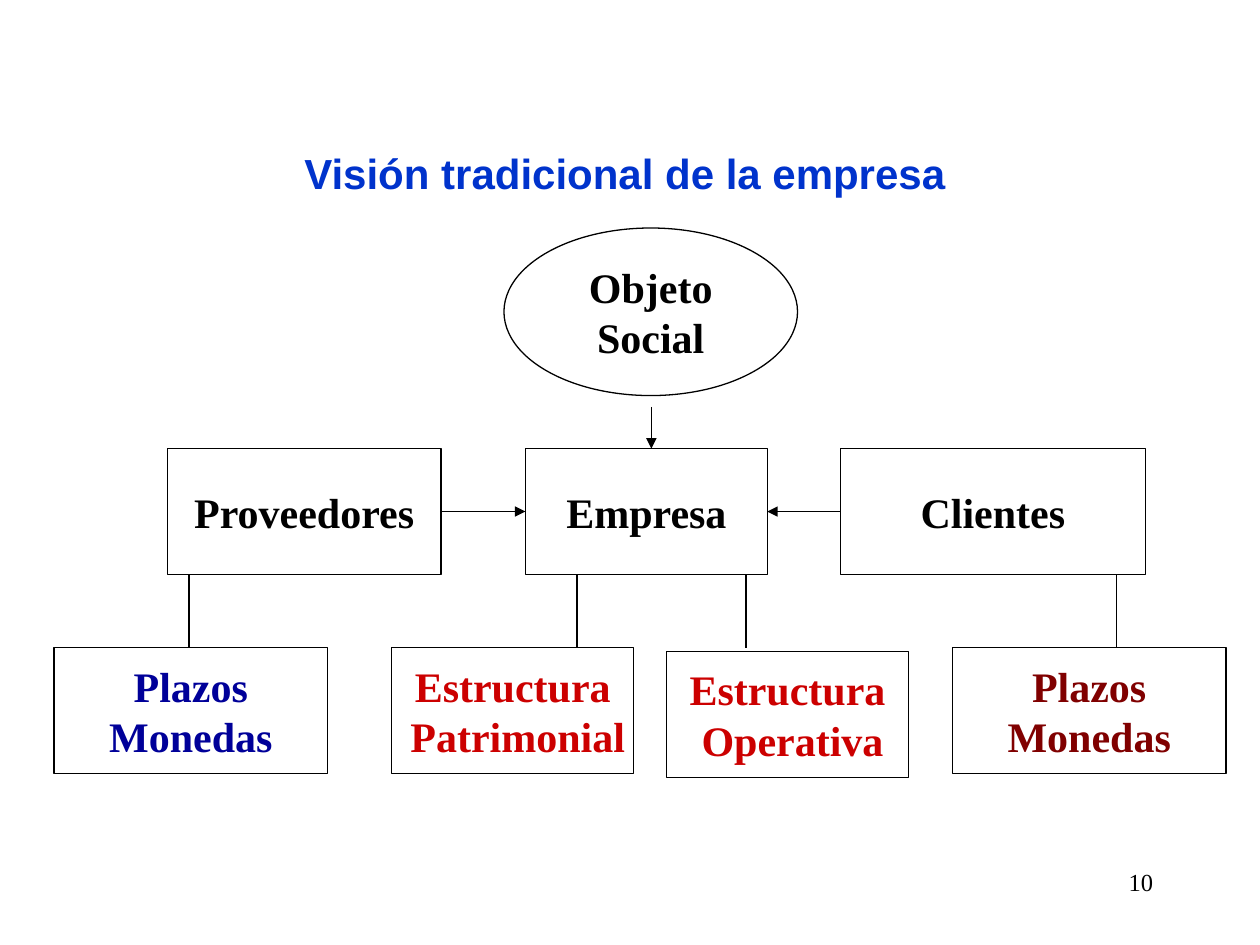
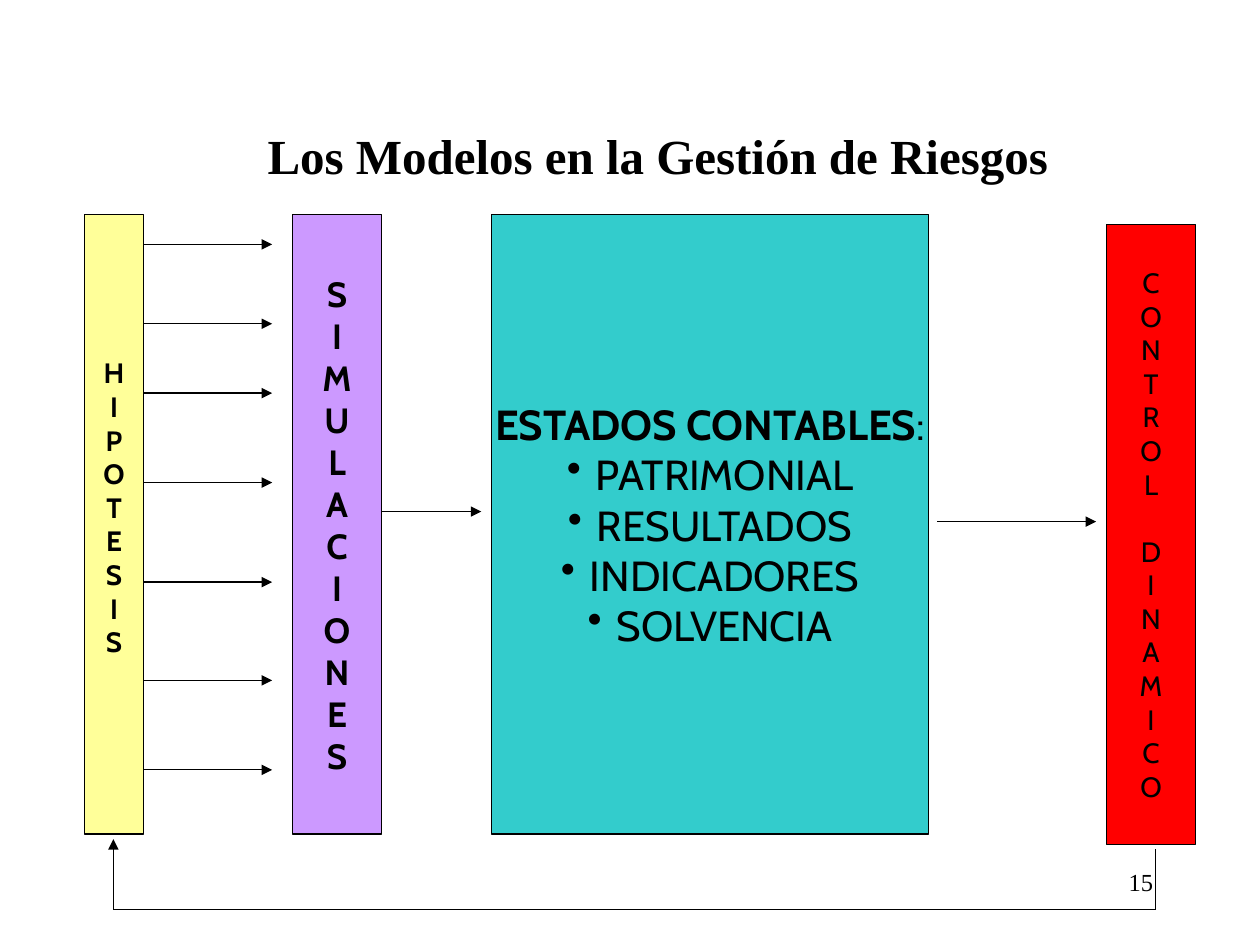
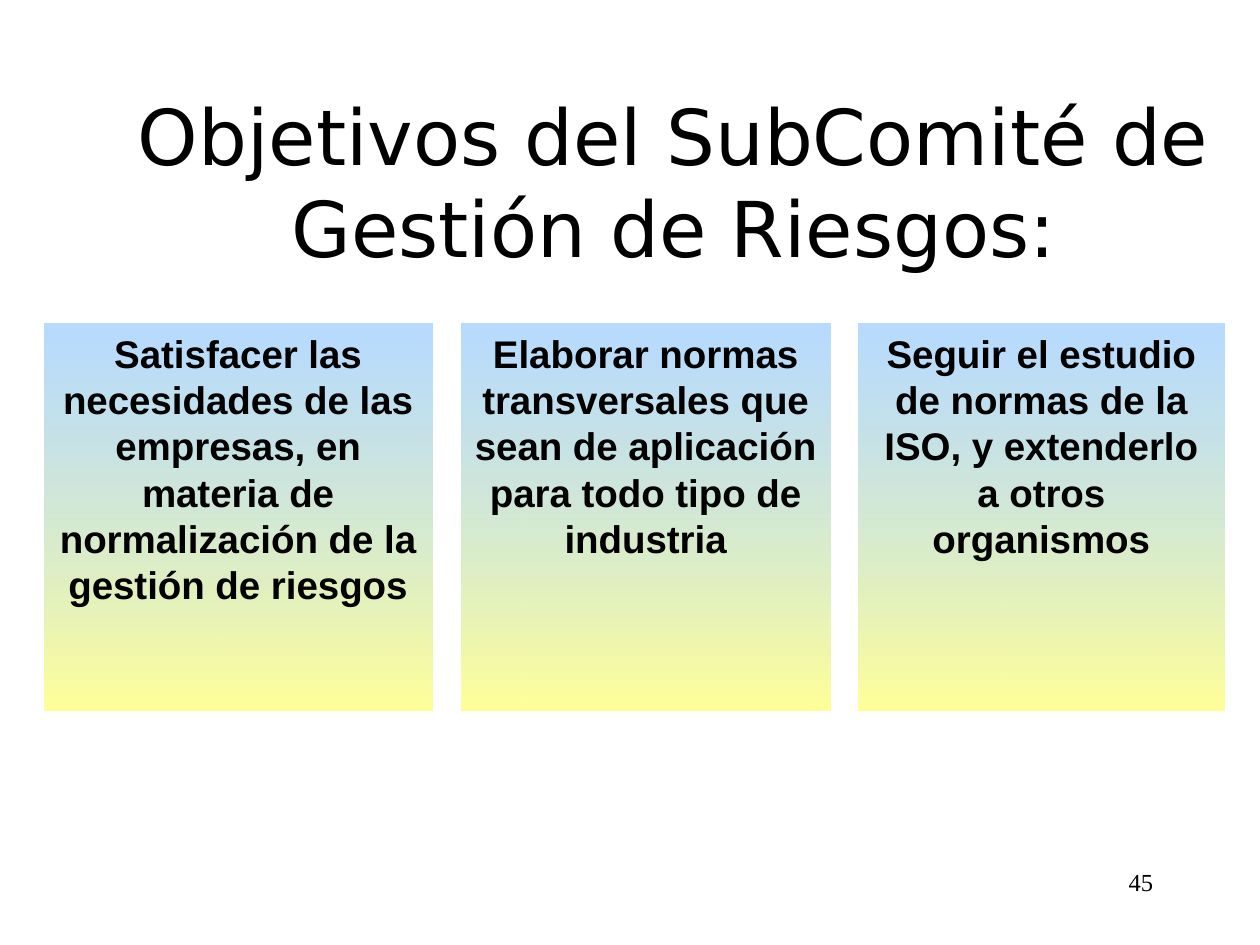
"""Build three slides on company structure, risk models and committee objectives."""
from dataclasses import dataclass
from itertools import pairwise
from typing import Optional, Sequence

from lxml.etree import SubElement
from pptx import Presentation
from pptx.dml.color import RGBColor
from pptx.enum.shapes import MSO_CONNECTOR, MSO_SHAPE
from pptx.enum.text import MSO_ANCHOR, MSO_AUTO_SIZE, PP_ALIGN
from pptx.oxml.ns import qn
from pptx.util import Inches, Pt

COLORS = {
    "black": "000000",
    "title_blue": "0033CC",
    "supplier_blue": "000099",
    "client_maroon": "800000",
    "structure_red": "CC0000",
    "lilac": "CC99FF",
    "pale_yellow": "FFFF99",
    "control_red": "FF0000",
    "teal": "33CCCC",
    "sky": "99CCFF",
}
SERIF, SANS, CABIN, DEJAVU = "Times New Roman", "Arial", "Cabin", "DejaVu Sans"
TOP, RIGHT, BOTTOM, LEFT = 0, 3, 2, 1
Point = tuple[float, float]


@dataclass(frozen=True)
class Box:
    """An outlined shape with centred lines of text."""

    left: float
    top: float
    width: float
    height: float
    lines: Sequence[str]
    size: float = 24
    font: str = SERIF
    color: str = "black"
    bold: bool = True
    fill: Optional[str] = None
    kind: MSO_SHAPE = MSO_SHAPE.RECTANGLE
    bold_lead: str = ""


@dataclass(frozen=True)
class Link:
    """A straight line between two points, with or without an arrowhead."""

    start: Point
    end: Point
    arrow: bool = True


def rgb(name: str) -> RGBColor:
    """Look up a named colour."""
    return RGBColor.from_string(COLORS[name])


def write_text(frame, lines: Sequence[str], *, size: float, font: str = SERIF,
               color: str = "black", bold: bool = False, align=PP_ALIGN.CENTER,
               anchor=MSO_ANCHOR.MIDDLE, wrap: bool = True, bold_lead: str = "") -> None:
    """Write one paragraph per line, with an optional bold start to the first."""
    frame.word_wrap = wrap
    frame.auto_size = MSO_AUTO_SIZE.NONE
    frame.vertical_anchor = anchor
    for index, line in enumerate(lines):
        paragraph = frame.paragraphs[0] if index == 0 else frame.add_paragraph()
        paragraph.alignment = align
        pieces = [(line, bold)]
        if index == 0 and bold_lead:
            pieces.insert(0, (bold_lead, True))
        for text, heavy in pieces:
            run = paragraph.add_run()
            run.text = text
            run.font.size = Pt(size)
            run.font.name = font
            run.font.bold = heavy
            run.font.color.rgb = rgb(color)


def indent_paragraph(paragraph, margin: float, bullet: str = "") -> None:
    """Indent a paragraph and hang a bullet in the margin if one is given."""
    properties = paragraph._p.get_or_add_pPr()
    properties.set("marL", str(Inches(margin)))
    if bullet:
        properties.set("indent", str(-Inches(margin)))
        SubElement(properties, qn("a:buChar")).set("char", bullet)


def add_box(slide, box: Box):
    """Draw a box and return its shape."""
    shape = slide.shapes.add_shape(box.kind, Inches(box.left), Inches(box.top),
                                   Inches(box.width), Inches(box.height))
    shape.shadow.inherit = False
    if box.fill:
        shape.fill.solid()
        shape.fill.fore_color.rgb = rgb(box.fill)
    else:
        shape.fill.background()
    shape.line.color.rgb = rgb("black")
    shape.line.width = Pt(0.75)
    write_text(shape.text_frame, box.lines, size=box.size, font=box.font, color=box.color,
               bold=box.bold, wrap=False, bold_lead=box.bold_lead)
    return shape


def add_link(slide, link: Link):
    """Draw a thin black line or arrow and return the connector."""
    points = [Inches(value) for value in (*link.start, *link.end)]
    connector = slide.shapes.add_connector(MSO_CONNECTOR.STRAIGHT, *points)
    connector.line.color.rgb = rgb("black")
    connector.line.width = Pt(0.75)
    properties = connector.element.spPr
    if link.arrow:
        SubElement(properties.find(qn("a:ln")), qn("a:tailEnd")).set("type", "triangle")
    SubElement(properties, qn("a:effectLst"))
    return connector


def add_titled_slide(presentation, title: str, number: int, *, left: float, top: float,
                     width: float, height: float, **text_format):
    """Add a slide with a placed title and its page number."""
    slide = presentation.slides.add_slide(presentation.slide_layouts[5])
    shape = slide.shapes.title
    shape.left, shape.top = Inches(left), Inches(top)
    shape.width, shape.height = Inches(width), Inches(height)
    write_text(shape.text_frame, [title], **text_format)
    number_box = slide.shapes.add_textbox(Inches(7.17), Inches(6.83), Inches(2.08), Inches(0.5))
    write_text(number_box.text_frame, [str(number)], size=14, align=PP_ALIGN.RIGHT,
               anchor=MSO_ANCHOR.TOP)
    return slide


def build_company_slide(presentation) -> None:
    """Draw the traditional view of the company."""
    slide = add_titled_slide(presentation, "Visión tradicional de la empresa", 10,
                             left=1.17, top=1.12, width=7.58, height=0.5,
                             size=24, font=SANS, color="title_blue", bold=True)
    row_top, detail_top = 3.56, 5.14
    company = add_box(slide, Box(4.17, row_top, 1.92, 1, ["Empresa"]))
    suppliers = add_box(slide, Box(1.33, row_top, 2.17, 1, ["Proveedores"]))
    clients = add_box(slide, Box(6.67, row_top, 2.42, 1, ["Clientes"]))
    add_box(slide, Box(4, 1.81, 2.33, 1.33, ["Objeto", "Social"], kind=MSO_SHAPE.OVAL))
    for left, color in ((0.43, "supplier_blue"), (7.56, "client_maroon")):
        add_box(slide, Box(left, detail_top, 2.17, 1, ["Plazos", "Monedas"], color=color))
    for left, top, kind in ((3.11, detail_top, "Patrimonial"), (5.29, 5.17, "Operativa")):
        structure = add_box(slide, Box(left, top, 1.92, 1, ["Estructura", kind],
                                       color="structure_red"))
        indent_paragraph(structure.text_frame.paragraphs[1], 0.08)

    for x in (1.5, 4.58, 5.92, 8.86):
        add_link(slide, Link((x, detail_top), (x, row_top + 1), arrow=False))
    add_link(slide, Link((5.17, 3.23), (5.17, row_top)))
    for partner, start_side, end_side, start_x, end_x in (
            (suppliers, RIGHT, LEFT, 3.5, 4.17), (clients, LEFT, RIGHT, 6.67, 6.09)):
        connector = add_link(slide, Link((start_x, 4.06), (end_x, 4.06)))
        connector.begin_connect(partner, start_side)
        connector.end_connect(company, end_side)


def build_model_slide(presentation) -> None:
    """Draw the flow from hypotheses to dynamic control."""
    slide = add_titled_slide(presentation, "Los Modelos en la Gestión de Riesgos", 15,
                             left=1.39, top=0.68, width=7.66, height=1.1, size=28, bold=True)
    top, height = 1.7, 4.92
    add_box(slide, Box(2.32, top, 0.71, height, list("SIMULACIONES"), size=20, font=CABIN,
                       fill="lilac"))
    hypotheses = add_box(slide, Box(0.67, top, 0.47, height, list("HIPOTESIS"), size=16,
                                    font=CABIN, fill="pale_yellow"))
    hypotheses.text_frame.margin_bottom = Inches(0.32)
    control = add_box(slide, Box(8.78, 1.78, 0.71, height, list("CONTROL" "DINAMICO"), size=16,
                                 font=CABIN, bold=False, fill="control_red"))
    control.text_frame.paragraphs[len("CONTROL")].space_before = Pt(19.2)
    statements = add_box(slide, Box(
        3.9, top, 3.47, height,
        [":", "PATRIMONIAL", "RESULTADOS", "INDICADORES", "SOLVENCIA"],
        font=CABIN, bold=False, fill="teal", bold_lead="ESTADOS CONTABLES"))
    for paragraph in statements.text_frame.paragraphs[1:]:
        indent_paragraph(paragraph, 0.23, "•")

    for y in (1.94, 2.57, 3.12, 3.83, 4.62, 5.4, 6.11):
        add_link(slide, Link((1.14, y), (2.16, y)))
    add_link(slide, Link((3.03, 4.06), (3.82, 4.06)))
    add_link(slide, Link((7.44, 4.14), (8.7, 4.14)))
    feedback = [(9.17, 6.74), (9.17, 7.22), (0.9, 7.22), (0.9, 6.66)]
    for start, end in pairwise(feedback):
        add_link(slide, Link(start, end, arrow=end == feedback[-1]))


def add_objective(slide, left: float, width: float, text: str) -> None:
    """Draw an objective panel with a vertical gradient."""
    shape = slide.shapes.add_shape(MSO_SHAPE.RECTANGLE, Inches(left), Inches(2.57),
                                   Inches(width), Inches(3.07))
    shape.shadow.inherit = False
    shape.line.fill.background()
    shape.fill.gradient()
    shape.fill.gradient_angle = 270
    for stop, position, color in zip(shape.fill.gradient_stops, (0, 1), ("sky", "pale_yellow")):
        stop.position = position
        stop.color.rgb = rgb(color)
    first_color = shape.element.spPr.find(".//" + qn("a:srgbClr"))
    SubElement(first_color, qn("a:alpha")).set("val", "70000")
    write_text(shape.text_frame, [text], size=22, font=SANS, bold=True, anchor=MSO_ANCHOR.TOP)


def build_objectives_slide(presentation) -> None:
    """Draw the three objectives of the subcommittee."""
    slide = add_titled_slide(presentation, "Objetivos del SubComité de Gestión de Riesgos:", 45,
                             left=0.35, top=0.68, width=10, height=1.51, size=44, font=DEJAVU)
    for left, width, text in (
            (0.35, 3.08, "Satisfacer las necesidades de las empresas, en materia de "
                         "normalización de la gestión de riesgos"),
            (3.66, 2.93, "Elaborar normas transversales que sean de aplicación para todo "
                         "tipo de industria"),
            (6.81, 2.91, "Seguir el estudio de normas de la ISO, y extenderlo a otros "
                         "organismos")):
        add_objective(slide, left, width, text)


def main() -> None:
    """Build and save the presentation."""
    presentation = Presentation()
    presentation.slide_width, presentation.slide_height = Inches(10), Inches(7.5)
    build_company_slide(presentation)
    build_model_slide(presentation)
    build_objectives_slide(presentation)
    presentation.save("out.pptx")


if __name__ == "__main__":
    main()
